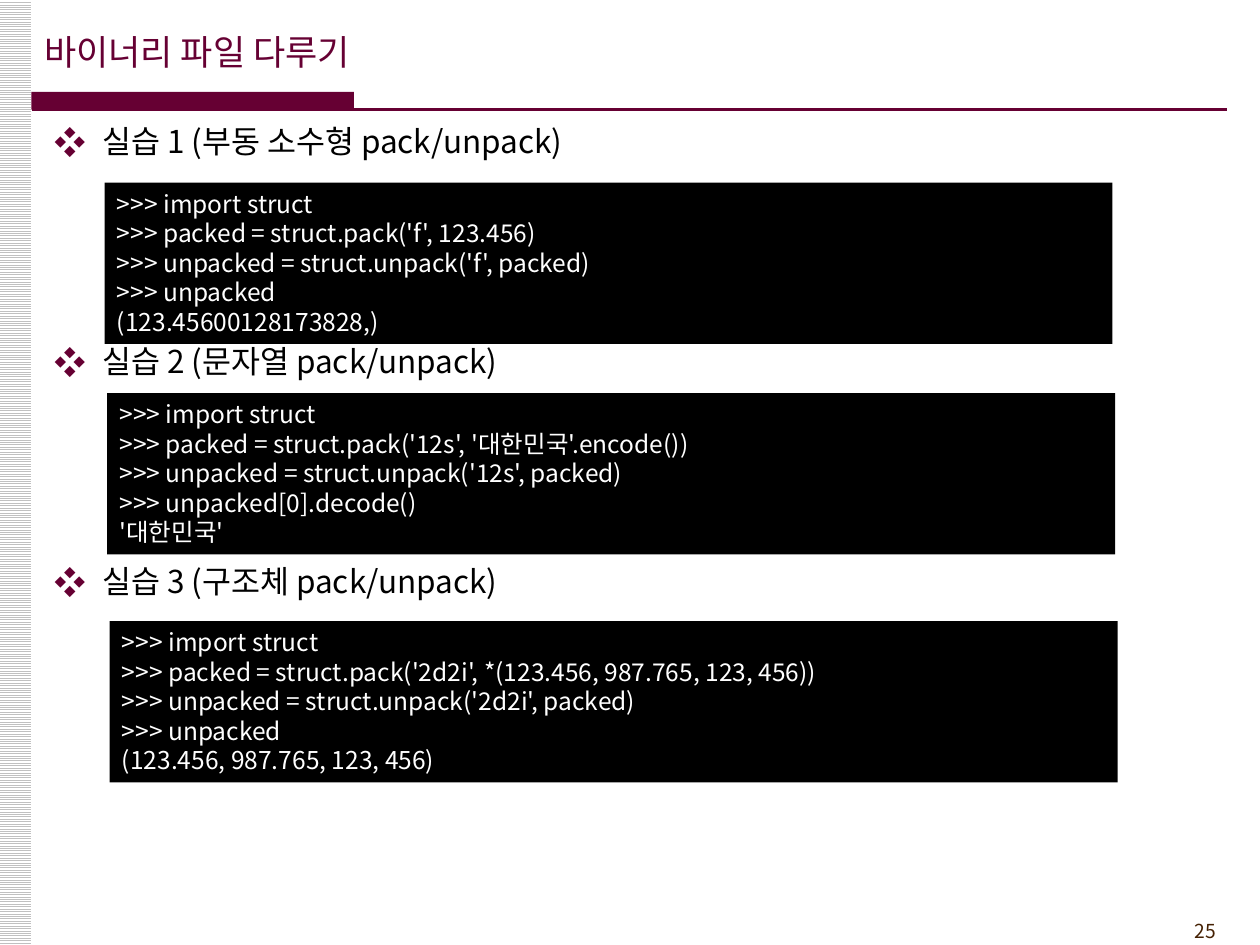
from lxml.etree import SubElement
from pptx import Presentation
from pptx.dml.color import RGBColor
from pptx.enum.dml import MSO_PATTERN
from pptx.enum.shapes import MSO_CONNECTOR, MSO_SHAPE
from pptx.enum.text import MSO_ANCHOR, MSO_AUTO_SIZE, PP_ALIGN
from pptx.oxml.ns import qn
from pptx.util import Inches, Pt

FONT = "Noto Sans CJK KR"
BURGUNDY = RGBColor(0x66, 0x00, 0x33)
BROWN = RGBColor(0x45, 0x21, 0x03)
SILVER = RGBColor(0xC0, 0xC0, 0xC0)
BLACK = RGBColor(0, 0, 0)
WHITE = RGBColor(0xFF, 0xFF, 0xFF)


def write_lines(text_frame, lines, size, color, align=PP_ALIGN.LEFT):
    """Fill a text frame with one formatted paragraph per line."""
    for index, line in enumerate(lines):
        paragraph = text_frame.paragraphs[0] if index == 0 else text_frame.add_paragraph()
        paragraph.alignment = align
        run = paragraph.add_run()
        run.text = line
        for name, value in {"name": FONT, "size": Pt(size)}.items():
            setattr(run.font, name, value)
        run.font.color.rgb = color
        SubElement(run.font._element, qn("a:ea"), typeface=FONT)


def add_rectangle(left, top, width, height, color):
    """Add a flat rectangle without outline or shadow."""
    shape = slide.shapes.add_shape(
        MSO_SHAPE.RECTANGLE, Inches(left), Inches(top), Inches(width), Inches(height))
    shape.shadow.inherit = False
    shape.line.fill.background()
    shape.fill.solid()
    shape.fill.fore_color.rgb = color
    return shape


presentation = Presentation()
presentation.slide_width = Inches(10)
presentation.slide_height = Inches(7.5)
slide = presentation.slides.add_slide(presentation.slide_layouts[1])
title, body = slide.placeholders

# Title and body placeholders
for placeholder, anchor, (left, top, width, height) in (
    (title, MSO_ANCHOR.MIDDLE, (0.25, 0.09, 8.27, 0.63)),
    (body, MSO_ANCHOR.TOP, (0.33, 0.92, 9.5, 6.25)),
):
    bounds = {"left": left, "top": top, "width": width, "height": height}
    for name, value in bounds.items():
        setattr(placeholder, name, Inches(value))
    frame_format = {"vertical_anchor": anchor, "word_wrap": True,
                    "auto_size": MSO_AUTO_SIZE.NONE}
    for name, value in frame_format.items():
        setattr(placeholder.text_frame, name, value)

write_lines(title.text_frame, ["바이너리 파일 다루기"], 20, BURGUNDY)

exercises = ["실습 1 (부동 소수형 pack/unpack)",
             "실습 2 (문자열 pack/unpack)",
             "실습 3 (구조체 pack/unpack)"]
write_lines(body.text_frame, exercises, 18, BLACK)

# Diamond bullets, spaced to leave room for the code boxes
for index, paragraph in enumerate(body.text_frame.paragraphs):
    paragraph.space_before = Pt(104 if index else 3.6)
    properties = paragraph._p.get_or_add_pPr()
    properties.set("marL", str(Inches(0.38)))
    properties.set("indent", str(Inches(-0.38)))
    bullet_color = SubElement(properties, qn("a:buClr"))
    SubElement(bullet_color, qn("a:srgbClr"), val=str(BURGUNDY))
    SubElement(properties, qn("a:buFont"), typeface=FONT)
    SubElement(properties, qn("a:buChar"), char="❖")

# Striped band along the left edge
band = add_rectangle(-0.01, 0, 0.26, 7.5, WHITE)
band.fill.patterned()
band.fill.pattern = MSO_PATTERN.LIGHT_HORIZONTAL
band.fill.fore_color.rgb = SILVER
band.fill.back_color.rgb = WHITE

# Title bar and rule
add_rectangle(0.25, 0.73, 2.56, 0.14, BURGUNDY)
rule = slide.shapes.add_connector(
    MSO_CONNECTOR.STRAIGHT, Inches(0.25), Inches(0.87), Inches(9.74), Inches(0.87))
rule.line.color.rgb = BURGUNDY
rule.line.width = Pt(1.5)
SubElement(rule._element.spPr, qn("a:effectLst"))

# Code boxes
code_boxes = [
    (0.83, 1.45, [">>> import struct",
                  ">>> packed = struct.pack('f', 123.456)",
                  ">>> unpacked = struct.unpack('f', packed)",
                  ">>> unpacked",
                  "(123.45600128173828,)"]),
    (0.85, 3.12, [">>> import struct",
                  ">>> packed = struct.pack('12s', '대한민국'.encode())",
                  ">>> unpacked = struct.unpack('12s', packed)",
                  ">>> unpacked[0].decode()",
                  "'대한민국'"]),
    (0.87, 4.93, [">>> import struct",
                  ">>> packed = struct.pack('2d2i', *(123.456, 987.765, 123, 456))",
                  ">>> unpacked = struct.unpack('2d2i', packed)",
                  ">>> unpacked",
                  "(123.456, 987.765, 123, 456)"]),
]
for left, top, code_lines in code_boxes:
    code_box = add_rectangle(left, top, 8, 1.28, BLACK)
    code_box.text_frame.word_wrap = True
    code_box.text_frame.vertical_anchor = MSO_ANCHOR.TOP
    write_lines(code_box.text_frame, code_lines, 14, WHITE)

# Slide number
number_box = slide.shapes.add_textbox(Inches(8.92), Inches(7.25), Inches(0.83), Inches(0.29))
number_box.text_frame.word_wrap = True
write_lines(number_box.text_frame, ["25"], 11, BROWN, PP_ALIGN.RIGHT)

presentation.save("out.pptx")
